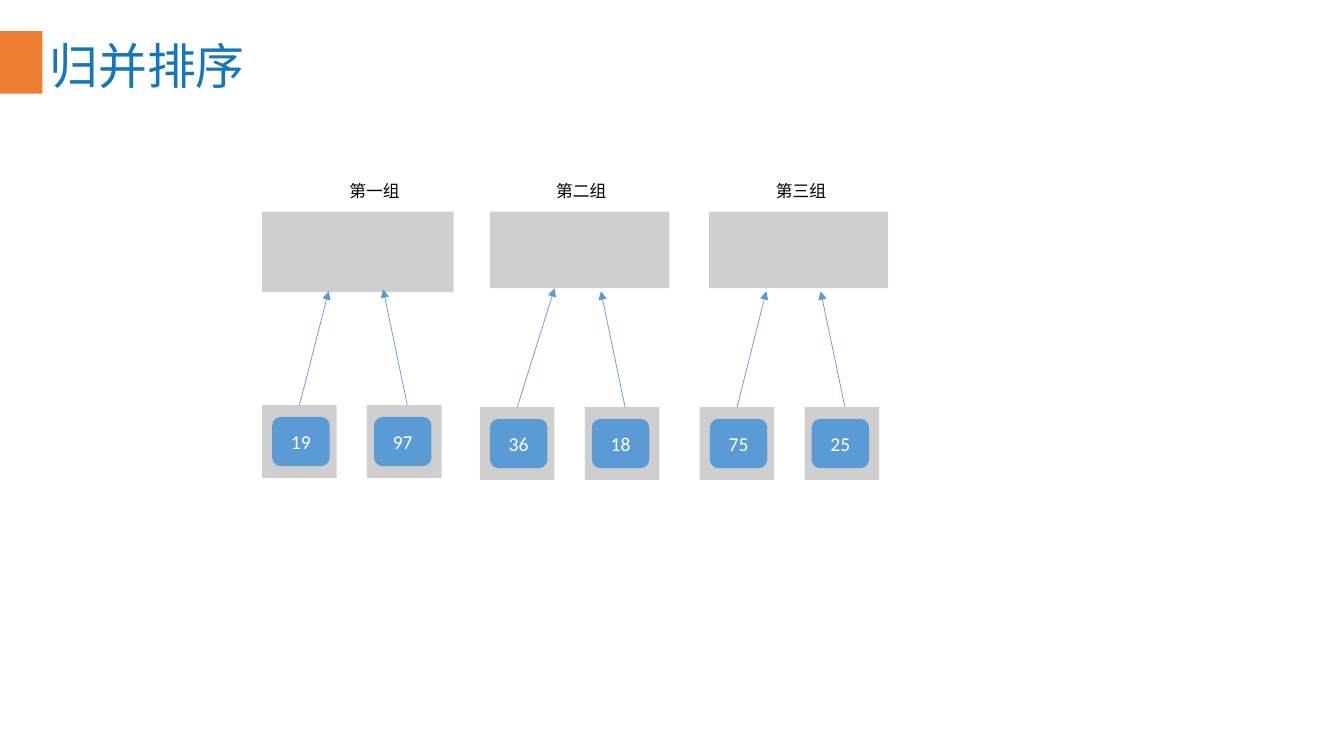
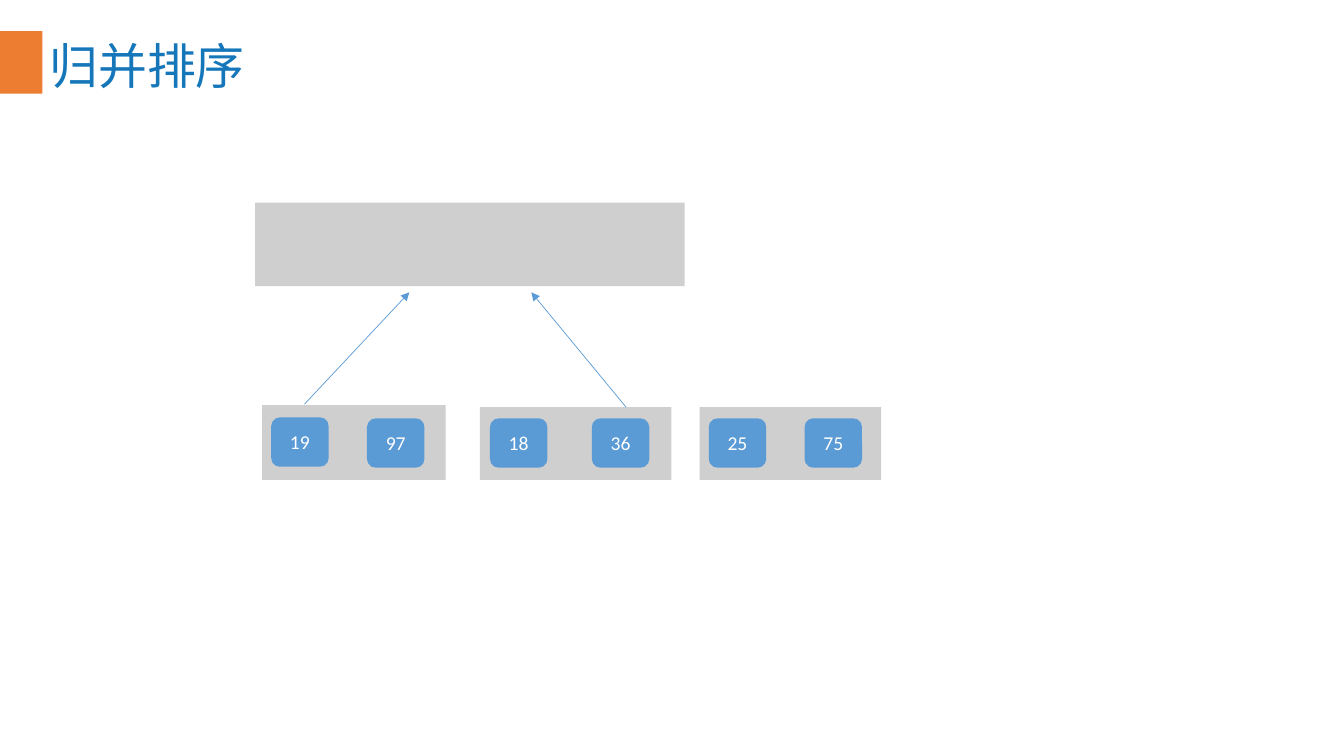
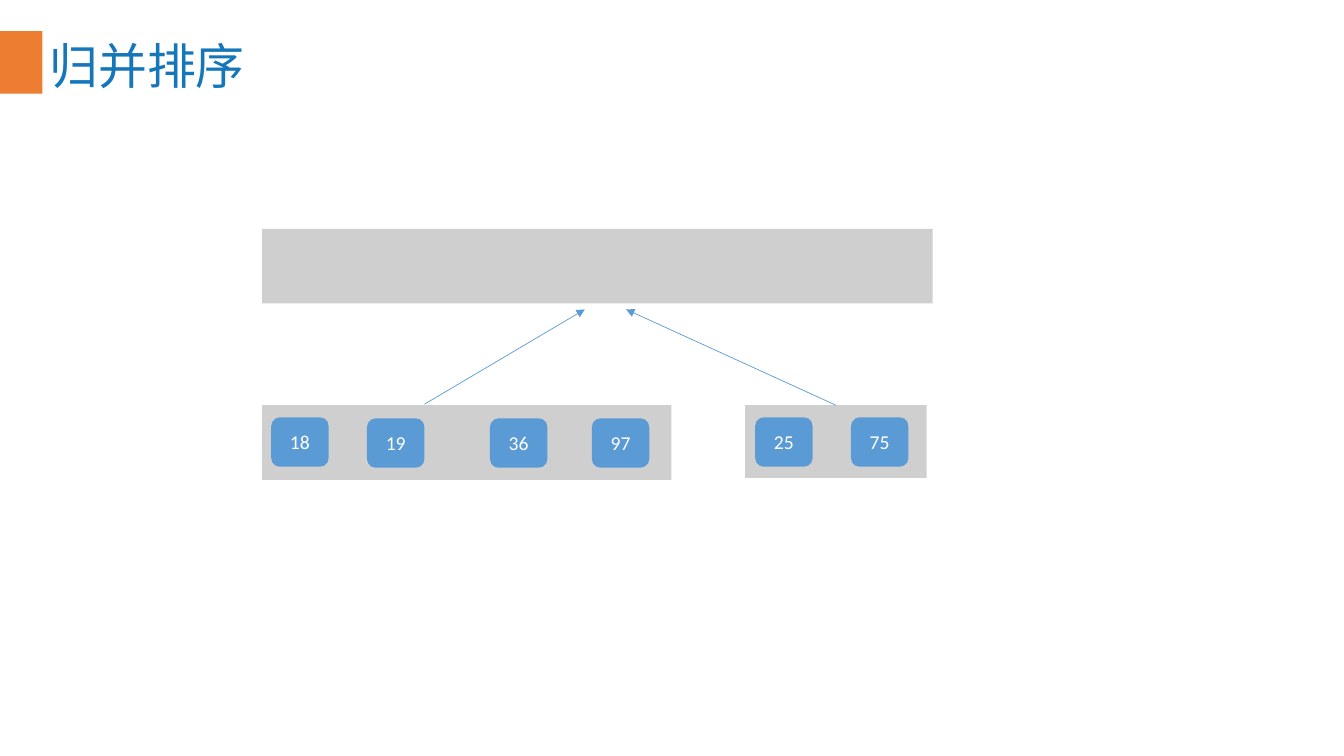
"""Build three slides that show merge sort step by step."""
from dataclasses import dataclass

from lxml import etree
from pptx import Presentation
from pptx.dml.color import RGBColor
from pptx.enum.shapes import MSO_CONNECTOR, MSO_SHAPE
from pptx.enum.text import MSO_ANCHOR, PP_ALIGN
from pptx.oxml.ns import qn
from pptx.util import Inches, Pt

RECT = MSO_SHAPE.RECTANGLE
ROUND = MSO_SHAPE.ROUNDED_RECTANGLE
LINE = MSO_CONNECTOR.STRAIGHT
MIDDLE = MSO_ANCHOR.MIDDLE
LEFT, CENTER = PP_ALIGN.LEFT, PP_ALIGN.CENTER
TOP_SIDE = 0


@dataclass(frozen=True)
class Theme:
    """Hold the colours, fonts and type sizes."""
    band: str = "ED7D31"
    title: str = "1577BA"
    tray: str = "CFCFCF"
    tile: str = "5B9BD5"
    white: str = "FFFFFF"
    black: str = "000000"
    latin: str = "Calibri"
    han: str = "Noto Sans CJK SC"
    big: float = 34.9
    mid: float = 14
    small: float = 12
    thin: float = 0.5


THEME = Theme()


def write(shape, text, size, color, face, align):
    """Put one styled line of text in a shape."""
    frame = shape.text_frame
    frame.word_wrap = True
    frame.text = text
    para = frame.paragraphs[0]
    para.alignment = align
    run = para.runs[0]
    run.font.size = Pt(size)
    run.font.color.rgb = RGBColor.from_string(color)
    run.font.name = face
    etree.SubElement(run.font._element, qn("a:ea"), typeface=face)
    return frame


def block(slide, kind, box, color):
    """Draw a plain filled shape."""
    shape = slide.shapes.add_shape(kind, *map(Inches, box))
    shape.shadow.inherit = False
    shape.fill.solid()
    shape.fill.fore_color.rgb = RGBColor.from_string(color)
    shape.line.fill.background()
    return shape


def tray(slide, *box):
    """Draw a grey tray."""
    return block(slide, RECT, box, THEME.tray)


def tile(slide, num, left, top):
    """Draw a number tile."""
    shape = block(slide, ROUND, (left, top, 0.57, 0.49), THEME.tile)
    shape.adjustments[0] = 0.176
    frame = write(shape, str(num), THEME.mid, THEME.white, THEME.latin, CENTER)
    frame.vertical_anchor = MIDDLE


def label(slide, text, left):
    """Write the name of a group."""
    box = slide.shapes.add_textbox(*map(Inches, (left, 1.74, 1.35, 0.3)))
    write(box, text, THEME.small, THEME.black, THEME.han, CENTER)


def arrow(slide, start, end, source=None):
    """Draw an arrow, joined to the top of its source if given."""
    line = slide.shapes.add_connector(LINE, *map(Inches, start + end))
    if source is not None:
        line.begin_connect(source, TOP_SIDE)
    line.line.color.rgb = RGBColor.from_string(THEME.tile)
    line.line.width = Pt(THEME.thin)
    etree.SubElement(line.line._get_or_add_ln(), qn("a:tailEnd"), type="triangle")
    etree.SubElement(line._element.spPr, qn("a:effectLst"))


def start(deck):
    """Add a slide with the shared band and title."""
    slide = deck.slides.add_slide(deck.slide_layouts[6])
    block(slide, RECT, (0, 0.31, 0.42, 0.62), THEME.band)
    box = slide.shapes.add_textbox(*map(Inches, (0.42, 0.32, 12.5, 0.64)))
    frame = write(box, "归并排序", THEME.big, THEME.title, THEME.han, LEFT)
    frame.vertical_anchor = MIDDLE
    frame.margin_left = frame.margin_right = Inches(0.07)
    frame.margin_top = frame.margin_bottom = Inches(0.04)
    return slide


def group(slide, name, shift, nums, left, top, goal, tips):
    """Draw two single cells that merge into one tray."""
    label(slide, name, left + shift)
    tray(slide, *goal)
    cells = [tray(slide, left + step, top, 0.74, 0.72) for step in (0, 1.04)]
    for num, step in zip(nums, (0.1, 1.11)):
        tile(slide, num, left + step, top + 0.115)
    arrow(slide, (left + 0.37, top), tips[0], cells[0])
    arrow(slide, (left + 1.44, top), tips[1])


def pairs(deck):
    """Build the slide that merges single numbers."""
    slide = start(deck)
    group(slide, "第一组", 0.44, (19, 97), 2.6, 4.02,
          (2.6, 2.1, 1.9, 0.8), ((3.26, 2.89), (3.8, 2.87)))
    group(slide, "第二组", 0.33, (36, 18), 4.76, 4.04,
          (4.86, 2.1, 1.78, 0.76), ((5.5, 2.86), (5.96, 2.89)))
    group(slide, "第三组", 0.33, (75, 25), 6.94, 4.04,
          (7.03, 2.1, 1.78, 0.76), ((7.6, 2.89), (8.14, 2.89)))


def fours(deck):
    """Build the slide that merges the first two pairs."""
    slide = start(deck)
    tray(slide, 2.53, 2.01, 4.26, 0.83)
    tray(slide, 2.6, 4.02, 1.82, 0.74)
    tray(slide, 4.76, 4.04, 1.9, 0.72)
    tray(slide, 6.94, 4.04, 1.8, 0.72)
    tile(slide, 19, 2.69, 4.14)
    for num, left in ((97, 3.64), (18, 4.86), (36, 5.87), (25, 7.03), (75, 7.98)):
        tile(slide, num, left, 4.15)
    arrow(slide, (3.02, 4.01), (4.06, 2.9))
    arrow(slide, (6.21, 4.04), (5.27, 2.9))


def whole(deck):
    """Build the slide that merges all numbers."""
    slide = start(deck)
    tray(slide, 2.6, 2.27, 6.65, 0.74)
    tray(slide, 2.6, 4.02, 4.06, 0.74)
    last = tray(slide, 7.39, 4.02, 1.8, 0.72)
    for num, left in ((18, 2.69), (25, 7.49), (75, 8.44)):
        tile(slide, num, left, 4.14)
    for num, left in ((19, 3.64), (36, 4.86), (97, 5.87)):
        tile(slide, num, left, 4.15)
    arrow(slide, (4.21, 4.01), (5.8, 3.07))
    arrow(slide, (8.29, 4.02), (6.21, 3.07), last)


def main():
    """Build and save the deck."""
    deck = Presentation()
    deck.slide_width, deck.slide_height = Inches(13.33), Inches(7.5)
    pairs(deck)
    fours(deck)
    whole(deck)
    deck.save("out.pptx")


if __name__ == "__main__":
    main()
